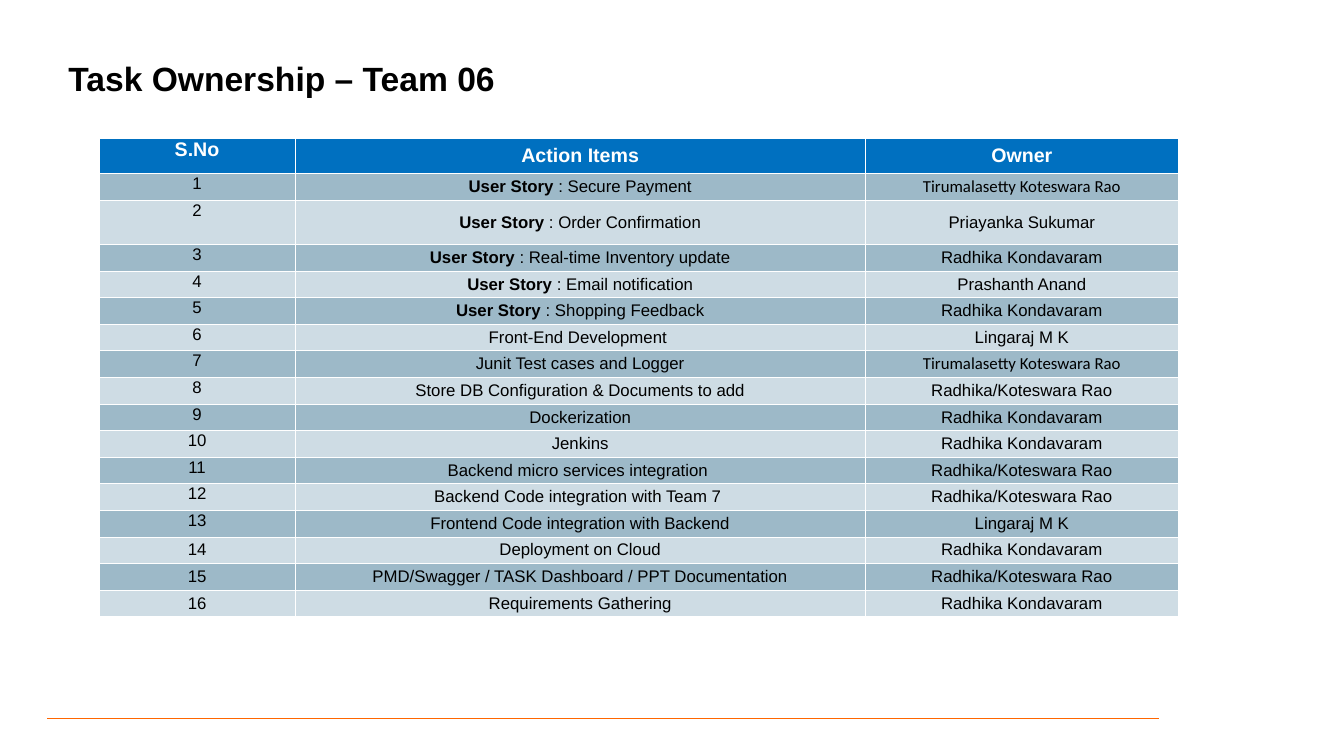
"""Build the task ownership slide with its table of action items."""
from dataclasses import dataclass

from lxml import etree
from pptx import Presentation
from pptx import util as u
from pptx.dml.color import RGBColor
from pptx.enum import shapes, text
from pptx.oxml import ns

BLACK = RGBColor(0, 0, 0)
WHITE = RGBColor(0xFF, 0xFF, 0xFF)
BLUE = RGBColor(0x00, 0x70, 0xC0)
DARK = RGBColor(0x9D, 0xB9, 0xC8)
PALE = RGBColor(0xCE, 0xDC, 0xE4)
ORANGE = RGBColor(0xFF, 0x66, 0x00)

HEADS = ("S.No", "Action Items", "Owner")
WIDTHS = (1.95, 5.65, 3.11)
HEIGHT = 4.75
HEAD_H = 0.35
TALL_H = 0.44
TALL = 2
LAST_TOP = 13


@dataclass
class Task:
    """One action item and its owner."""
    item: str
    owner: str
    story: bool = False
    font: str = "Arial"


@dataclass
class Style:
    """Look of the text and fill of a cell."""
    fill: RGBColor
    color: RGBColor = BLACK
    size: int = 12
    bold: bool = False
    font: str = "Arial"
    top: bool = False


RAO = "Tirumalasetty Koteswara Rao"
RADHIKA = "Radhika Kondavaram"
PAIR = "Radhika/Koteswara Rao"
LINGARAJ = "Lingaraj M K"

TASKS = [
    Task(": Secure Payment", RAO, True, "Calibri"),
    Task(": Order Confirmation", "Priayanka Sukumar", True),
    Task(": Real-time Inventory update", RADHIKA, True),
    Task(": Email notification", "Prashanth Anand", True),
    Task(": Shopping Feedback", RADHIKA, True),
    Task("Front-End Development ", LINGARAJ),
    Task("Junit Test cases and Logger", RAO, font="Calibri"),
    Task("Store DB Configuration & Documents to add", PAIR),
    Task("Dockerization", RADHIKA),
    Task("Jenkins", RADHIKA),
    Task("Backend micro services integration ", PAIR),
    Task("Backend Code integration with Team 7 ", PAIR),
    Task("Frontend Code integration with Backend", LINGARAJ),
    Task("Deployment on Cloud", RADHIKA),
    Task("PMD/Swagger / TASK Dashboard / PPT Documentation", PAIR),
    Task("Requirements Gathering", RADHIKA),
]


def dress(font, size: int, color: RGBColor, bold: bool, name: str = "Arial") -> None:
    """Set the face, size and colour of a font."""
    font.name, font.size, font.bold = name, u.Pt(size), bold
    font.color.rgb = color


def edge(cell) -> None:
    """Draw thin white borders round a cell."""
    props = cell._tc.get_or_add_tcPr()
    for side in ("lnL", "lnR", "lnT", "lnB"):
        line = etree.SubElement(props, ns.qn(f"a:{side}"), w=str(u.Pt(0.33)))
        fill = etree.SubElement(line, ns.qn("a:solidFill"))
        etree.SubElement(fill, ns.qn("a:srgbClr"), val=str(WHITE))


def write(cell, words: str, style: Style, lead: str = "") -> None:
    """Fill a cell with centred text after an optional bold lead."""
    edge(cell)
    cell.fill.solid()
    cell.fill.fore_color.rgb = style.fill
    cell.margin_left = cell.margin_right = u.Inches(0.02)
    cell.margin_top = cell.margin_bottom = u.Inches(0.01)
    anchor = text.MSO_ANCHOR
    cell.vertical_anchor = anchor.TOP if style.top else anchor.MIDDLE
    para = cell.text_frame.paragraphs[0]
    para.alignment = text.PP_ALIGN.CENTER
    for part, bold in ((lead, True), (words, style.bold)):
        if part:
            run = para.add_run()
            run.text = part
            dress(run.font, style.size, style.color, bold, style.font)


def add_title(slide) -> None:
    """Add the slide title."""
    box = slide.shapes.add_textbox(u.Inches(0.58), u.Inches(0.53), u.Inches(9.74), u.Inches(0.5))
    frame = box.text_frame
    frame.word_wrap = True
    frame.text = "Task Ownership – Team 06"
    dress(frame.paragraphs[0].runs[0].font, 24, BLACK, True)


def add_rule(slide) -> None:
    """Add the line at the foot of the slide."""
    y = u.Inches(7.13)
    rule = slide.shapes.add_connector(shapes.MSO_CONNECTOR.STRAIGHT, u.Inches(0.47), y, u.Inches(11.5), y)
    rule.line.color.rgb = ORANGE
    rule.line.width = u.Pt(0.5)
    etree.SubElement(rule._element.spPr, ns.qn("a:effectLst"))


def add_tasks(slide) -> None:
    """Add the table of tasks."""
    frame = slide.shapes.add_table(
        len(TASKS) + 1, len(HEADS), u.Inches(0.98), u.Inches(1.37),
        u.Inches(sum(WIDTHS)), u.Inches(HEIGHT))
    table = frame.table
    for col, width in zip(table.columns, WIDTHS):
        col.width = u.Inches(width)
    rest = (HEIGHT - HEAD_H - TALL_H) / (len(TASKS) - 1)
    special = {0: HEAD_H, TALL: TALL_H}
    for i, row in enumerate(table.rows):
        row.height = u.Inches(special.get(i, rest))
    for j, head in enumerate(HEADS):
        write(table.cell(0, j), head, Style(BLUE, WHITE, 14, True, top=j == 0))
    for i, task in enumerate(TASKS, 1):
        fill = DARK if i % 2 else PALE
        write(table.cell(i, 0), str(i), Style(fill, top=i <= LAST_TOP))
        write(table.cell(i, 1), task.item, Style(fill), "User Story " if task.story else "")
        write(table.cell(i, 2), task.owner, Style(fill, font=task.font))


def main() -> None:
    """Build and save the slide."""
    deck = Presentation()
    deck.slide_width, deck.slide_height = u.Inches(13.33), u.Inches(7.5)
    slide = deck.slides.add_slide(deck.slide_layouts[6])
    add_title(slide)
    add_rule(slide)
    add_tasks(slide)
    deck.save("out.pptx")


if __name__ == "__main__":
    main()
